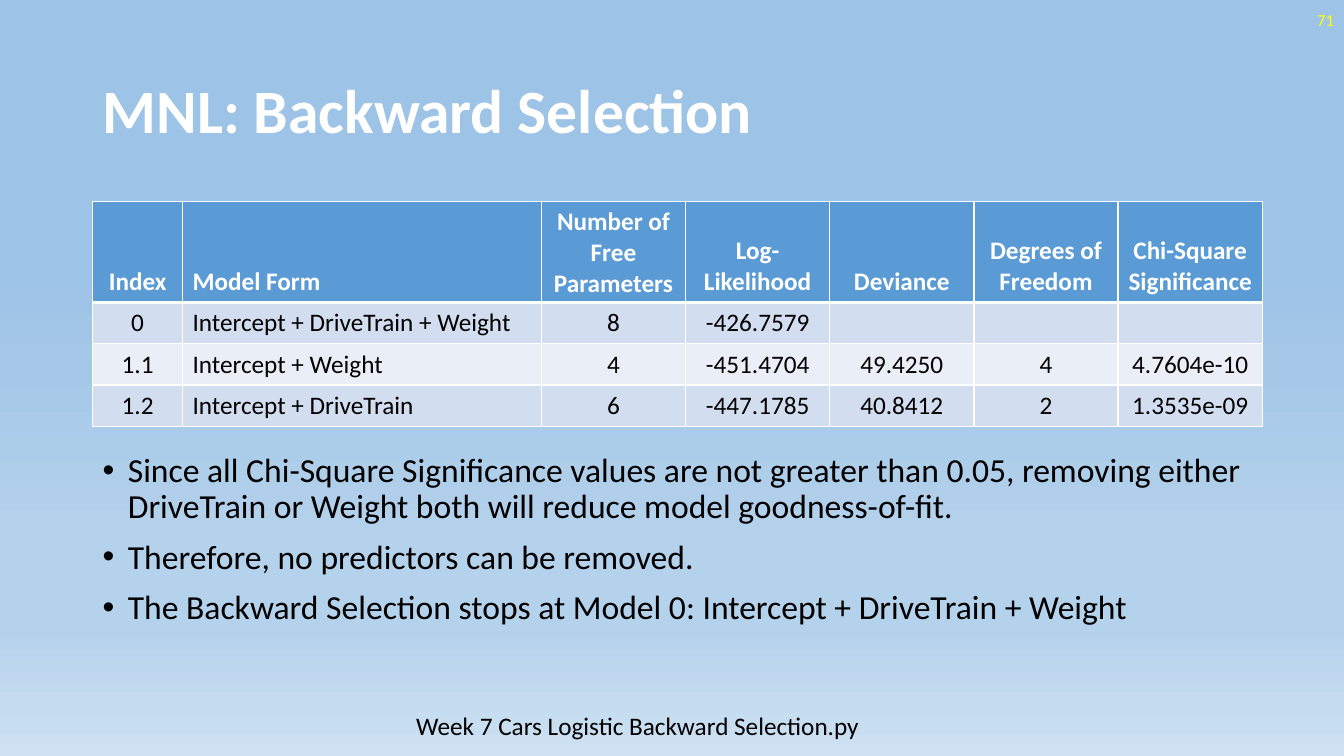
from dataclasses import dataclass

from lxml.etree import SubElement
from pptx import Presentation
from pptx.dml.color import RGBColor
from pptx.enum.text import MSO_ANCHOR, PP_ALIGN
from pptx.oxml.ns import qn
from pptx.util import Inches, Pt


@dataclass(frozen=True)
class Theme:
    font: str = "Calibri"
    white: str = "FFFFFF"
    black: str = "000000"
    yellow: str = "FFFF00"
    header: str = "5B9BD5"
    bands: tuple = ("D2DEEF", "EAEFF7")
    sky: tuple = ((35, "9DC3E6"), (74, "B5D2EC"), (83, "B5D2EC"), (100, "CEE1F2"))
    title_size: int = 44
    body_size: int = 24
    table_size: int = 18
    number_size: int = 12
    thin: int = 1
    thick: int = 3


THEME = Theme()
HEADINGS = ["Index", "Model Form", "Number of Free Parameters", "Log-Likelihood",
            "Deviance", "Degrees of Freedom", "Chi-Square Significance"]
MODELS = [
    ["0", "Intercept + DriveTrain + Weight", "8", "-426.7579", "", "", ""],
    ["1.1", "Intercept + Weight", "4", "-451.4704", "49.4250", "4", "4.7604e-10"],
    ["1.2", "Intercept + DriveTrain", "6", "-447.1785", "40.8412", "2", "1.3535e-09"],
]
FINDINGS = [
    "Since all Chi-Square Significance values are not greater than 0.05, "
    "removing either DriveTrain or Weight both will reduce model goodness-of-fit.",
    "Therefore, no predictors can be removed.",
    "The Backward Selection stops at Model 0: Intercept + DriveTrain + Weight",
]


def write(para, text, size=THEME.table_size, color=THEME.black, bold=False,
          align=PP_ALIGN.LEFT, line_spacing=None, bullet=False):
    if bullet:
        properties = para._p.get_or_add_pPr()
        properties.set("marL", str(Inches(0.25)))
        properties.set("indent", str(-Inches(0.25)))
        SubElement(properties, qn("a:buFont")).set("typeface", "Arial")
        SubElement(properties, qn("a:buChar")).set("char", "•")
    para.alignment = align
    para.line_spacing = line_spacing
    span = para.add_run()
    span.text = text
    span.font.name = THEME.font
    span.font.size = Pt(size)
    span.font.bold = bold
    span.font.color.rgb = RGBColor.from_string(color)


def add_text_frame(page, box, anchor=MSO_ANCHOR.TOP, wrap=True):
    frame = page.shapes.add_textbox(*map(Inches, box)).text_frame
    frame.word_wrap = wrap
    frame.vertical_anchor = anchor
    return frame


def paint_background(page):
    fill = page.background.fill
    fill.gradient()
    fill.gradient_angle = 270
    stops = next(page._element.iter(qn("a:gsLst")))
    for stop in list(stops):
        stops.remove(stop)
    for percent, color in THEME.sky:
        stop = SubElement(stops, qn("a:gs"), pos=str(percent * 1000))
        SubElement(stop, qn("a:srgbClr"), val=color)


def add_title(page, box):
    frame = add_text_frame(page, box, MSO_ANCHOR.MIDDLE)
    write(frame.paragraphs[0], "MNL: Backward Selection", size=THEME.title_size,
          color=THEME.white, bold=True, line_spacing=0.9)


def add_page_number(page, box):
    frame = add_text_frame(page, box, MSO_ANCHOR.MIDDLE)
    write(frame.paragraphs[0], "71", size=THEME.number_size,
          color=THEME.yellow, align=PP_ALIGN.RIGHT)


def add_findings(page, box):
    frame = add_text_frame(page, box)
    for index, finding in enumerate(FINDINGS):
        para = frame.add_paragraph() if index else frame.paragraphs[0]
        write(para, finding, size=THEME.body_size, line_spacing=0.9, bullet=True)
        para.space_before = Pt(10 if index else 0)


def add_file_name(page, box):
    frame = add_text_frame(page, box, wrap=False)
    write(frame.paragraphs[0], "Week 7 Cars Logistic Backward Selection.py")


def set_borders(cell, top, bottom):
    properties = cell._tc.get_or_add_tcPr()
    sides = {"a:lnL": THEME.thin, "a:lnR": THEME.thin, "a:lnT": top, "a:lnB": bottom}
    for side, width in sides.items():
        line = SubElement(properties, qn(side), w=str(Pt(width)))
        SubElement(SubElement(line, qn("a:solidFill")), qn("a:srgbClr"), val=THEME.white)


def add_model_table(page, box):
    rows = [HEADINGS] + MODELS
    table = page.shapes.add_table(len(rows), len(HEADINGS), *map(Inches, box)).table
    index_width, form_width, row_height = 0.89, 3.56, 0.41
    number_width = (box[2] - index_width - form_width) / (len(HEADINGS) - 2)
    widths = [index_width, form_width] + [number_width] * (len(HEADINGS) - 2)
    for column, width in zip(table.columns, widths):
        column.width = Inches(width)
    for row in table.rows:
        row.height = Inches(row_height)
    table.rows[0].height = Inches(box[3] - row_height * len(MODELS))

    for row_index, values in enumerate(rows):
        heading = row_index == 0
        fill = THEME.header if heading else THEME.bands[(row_index - 1) % 2]
        for column_index, value in enumerate(values):
            cell = table.cell(row_index, column_index)
            set_borders(cell, top=THEME.thick if row_index == 1 else THEME.thin,
                        bottom=THEME.thick if heading else THEME.thin)
            cell.fill.solid()
            cell.fill.fore_color.rgb = RGBColor.from_string(fill)
            cell.vertical_anchor = MSO_ANCHOR.BOTTOM if heading else MSO_ANCHOR.MIDDLE
            if value:
                write(cell.text_frame.paragraphs[0], value, bold=heading,
                      color=THEME.white if heading else THEME.black,
                      align=PP_ALIGN.LEFT if column_index == 1 else PP_ALIGN.CENTER)


def main():
    deck = Presentation()
    deck.slide_width, deck.slide_height = Inches(13.33), Inches(7.5)
    page = deck.slides.add_slide(deck.slide_layouts[6])
    paint_background(page)
    add_title(page, (0.92, 0.4, 11.5, 1.45))
    add_page_number(page, (10.33, 0, 3, 0.4))
    add_findings(page, (0.92, 4.45, 11.5, 2.31))
    add_file_name(page, (4.03, 7, 4.64, 0.4))
    add_model_table(page, (0.92, 2, 11.6, 2.22))
    deck.save("out.pptx")


if __name__ == "__main__":
    main()
